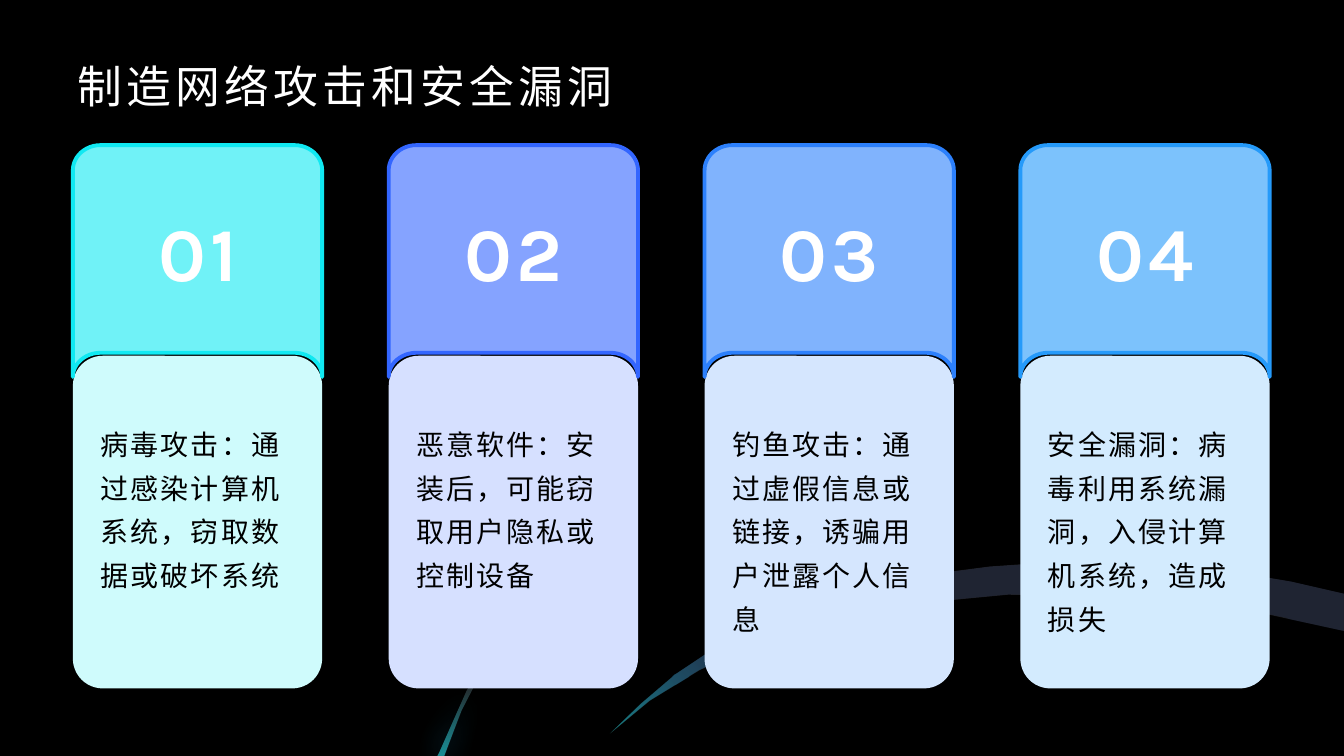
from math import cos, radians, sin

from lxml import etree
from pptx import Presentation
from pptx.dml.color import RGBColor
from pptx.enum.shapes import MSO_SHAPE
from pptx.enum.text import MSO_ANCHOR, MSO_AUTO_SIZE, PP_ALIGN
from pptx.oxml.ns import qn
from pptx.util import Inches, Pt

ROUNDED = MSO_SHAPE.ROUNDED_RECTANGLE
TOP, MIDDLE, BOTTOM = MSO_ANCHOR.TOP, MSO_ANCHOR.MIDDLE, MSO_ANCHOR.BOTTOM
LEFT, CENTER = PP_ALIGN.LEFT, PP_ALIGN.CENTER
NO_AUTOFIT = MSO_AUTO_SIZE.NONE

# The slide is a grid of 80 columns by 45 rows of square cells.
CELL = Inches(1 / 6)
COLUMNS, ROWS = 80, 45
CARD_LEFT, CARD_STEP, CARD_WIDTH = 4.34, 18.8, 14.84
HEADER_TOP, HEADER_HEIGHT, HEADER_ARCH = 8.64, 13.8, 12.36
BODY_TOP, BODY_HEIGHT = 21.18, 19.8
CORNER_WIDTH, CORNER_HEIGHT = 1.65, 1.5

COLORS = {
    "background": "000000", "light": "FFFFFF", "dark": "000000",
    "arc": "1E1D1B", "streak": "252D30",
    "cyan": "10E9F2", "blue": "3366FF", "glow": "1EB5F7",
}

CARDS = [
    ("70F2F7", "10E9F2", "CFFBFC", "病毒攻击：通过感染计算机系统，窃取数据或破坏系统"),
    ("85A3FF", "3366FF", "D6E0FF", "恶意软件：安装后，可能窃取用户隐私或控制设备"),
    ("80B3FD", "2C80FC", "D5E6FE", "钓鱼攻击：通过虚假信息或链接，诱骗用户泄露个人信息"),
    ("7CC2FC", "259AFA", "D3EBFE", "安全漏洞：病毒利用系统漏洞，入侵计算机系统，造成损失"),
]

ARC = [
    (36.3, 43.68), (38.16, 41.88), (40.2, 40.14), (42.54, 38.58), (45.24, 37.2),
    (48.36, 35.94), (51.66, 34.98), (55.2, 34.2), (58.92, 33.72), (62.34, 33.48),
    (64.62, 33.42), (68.04, 33.54), (71.34, 33.78), (74.4, 34.2), (76.86, 34.62),
    (80, 35.34), (80, 37.56), (75.6, 36.6), (72.48, 36.06), (66.12, 35.46),
    (60, 35.4), (54.36, 35.94), (49.14, 37.02), (45.12, 38.28), (41.64, 39.9),
    (38.7, 41.7),
]
STREAK = [
    (31.56, 36.18), (30.18, 37.74), (28.74, 39.84), (27.48, 42.3), (26.46, 45),
    (26.04, 45), (26.16, 44.76), (27.78, 41.1), (29.58, 38.4),
]

TITLE_STYLE = {"size": Pt(32), "name": "Roboto", "bold": False}
NUMBER_STYLE = {"size": Pt(54), "name": "Karla", "bold": True}
BODY_STYLE = {"size": Pt(20), "name": "Karla", "bold": False}


def cells(*lengths):
    return [round(length * CELL) for length in lengths]


def header_outline(left):
    """Round the two top corners and arch the lower edge upwards."""
    near, far = left + CORNER_WIDTH, left + CARD_WIDTH - CORNER_WIDTH
    upper, lower = HEADER_TOP + CORNER_HEIGHT, HEADER_TOP + HEADER_HEIGHT
    rise = lower - HEADER_TOP - HEADER_ARCH
    corners = [
        (near, upper, CORNER_HEIGHT, 180, 270), (far, upper, CORNER_HEIGHT, 270, 360),
        (far, lower, rise, 360, 270), (near, lower, rise, 270, 180),
    ]
    steps = 12
    points = []
    for x, y, height, start, end in corners:
        for step in range(steps + 1):
            angle = radians(start + (end - start) * step / steps)
            points.append((x + CORNER_WIDTH * cos(angle), y + height * sin(angle)))
    return points


class SlideBuilder:
    def __init__(self, presentation):
        self.slide = presentation.slides.add_slide(presentation.slide_layouts[5])
        self.paint(self.slide.background.fill, COLORS["background"])

    def paint(self, fill, color):
        fill.solid()
        fill.fore_color.rgb = RGBColor.from_string(color)

    def finish(self, shape, color, line=None):
        shape.shadow.inherit = False
        self.paint(shape.fill, color)
        if line:
            self.paint(shape.line.fill, line)
            shape.line.width = Pt(2.75)
        else:
            shape.line.fill.background()
        return shape

    def outline(self, points, color, line=None):
        corners = [cells(*point) for point in points]
        builder = self.slide.shapes.build_freeform(*corners[0], scale=1.0)
        builder.add_line_segments(corners[1:], close=True)
        return self.finish(builder.convert_to_shape(), color, line)

    def rounded(self, left, top, width, height, color):
        shape = self.slide.shapes.add_shape(ROUNDED, *cells(left, top, width, height))
        shape.adjustments[0] = 0.12
        return self.finish(shape, color)

    def add_color(self, parent, color, opacity):
        element = etree.SubElement(parent, qn("a:srgbClr"), val=color)
        etree.SubElement(element, qn("a:alpha"), val=str(opacity * 1000))

    def fade(self, shape, stops, angle):
        """Replace the fill by a gradient of (position, color, opacity) stops."""
        gradient = etree.Element(qn("a:gradFill"), rotWithShape="1")
        stop_list = etree.SubElement(gradient, qn("a:gsLst"))
        for position, color, opacity in stops:
            stop = etree.SubElement(stop_list, qn("a:gs"), pos=str(position * 1000))
            self.add_color(stop, color, opacity)
        etree.SubElement(gradient, qn("a:lin"), ang=str(angle * 60000), scaled="0")
        properties = shape.element.spPr
        properties.replace(properties.find(qn("a:solidFill")), gradient)

    def glow(self, shape, color):
        effects = shape.element.spPr.find(qn("a:effectLst"))
        shadow = etree.SubElement(effects, qn("a:outerShdw"), blurRad=str(Pt(20)),
                                  dist="0", dir="0", algn="ctr", rotWithShape="0")
        self.add_color(shadow, color, 100)

    def fill_text(self, shape, text, style, color, spacing, margins, anchor, align=LEFT):
        frame = shape.text_frame
        settings = dict(zip(("margin_left", "margin_top", "margin_right", "margin_bottom"),
                            map(Inches, margins)))
        settings.update(word_wrap=True, auto_size=NO_AUTOFIT, vertical_anchor=anchor)
        for name, value in settings.items():
            setattr(frame, name, value)
        paragraph = frame.paragraphs[0]
        paragraph.alignment = align
        run = paragraph.add_run()
        run.text = text
        for name, value in style.items():
            setattr(run.font, name, value)
        run.font.color.rgb = RGBColor.from_string(color)
        run._r.get_or_add_rPr().set("spc", str(round(spacing * 100)))
        return paragraph

    def title(self, text):
        shape = self.slide.shapes.title
        shape.left, shape.top, shape.width, shape.height = cells(4.02, 3, 72, 3.72)
        self.fill_text(shape, text, TITLE_STYLE, COLORS["light"], 3, (0.1, 0, 0.1, 0), BOTTOM)

    def text(self, left, top, width, height, *content):
        shape = self.slide.shapes.add_textbox(*cells(left, top, width, height))
        return self.fill_text(shape, *content)

    def card(self, index, header, border, body, text):
        left = CARD_LEFT + index * CARD_STEP
        self.rounded(left, BODY_TOP, CARD_WIDTH, BODY_HEIGHT, body)
        self.outline(header_outline(left), header, border)
        self.text(left + 2.6, 11.04, 9.66, 7.56, f"{index + 1:02}", NUMBER_STYLE,
                  COLORS["light"], 3, (0.1, 0.05, 0.1, 0), MIDDLE, CENTER)
        paragraph = self.text(left + 1.05, 24.54, 12.78, 14.28, text, BODY_STYLE,
                              COLORS["dark"], 1.5, (0.1, 0.05, 0, 0.05), TOP)
        paragraph.line_spacing = 1.3
        paragraph.space_after = Pt(10)


def main():
    presentation = Presentation()
    presentation.slide_width, presentation.slide_height = cells(COLUMNS, ROWS)
    builder = SlideBuilder(presentation)
    cyan = COLORS["cyan"]
    for points, base in ((ARC, "arc"), (STREAK, "streak")):
        builder.outline(points, COLORS[base])
    arc = builder.outline(ARC, cyan)
    builder.fade(arc, [(0, cyan, 50), (31, COLORS["blue"], 10)], 315)
    streak = builder.outline(STREAK, cyan)
    builder.fade(streak, [(55, cyan, 0), (100, cyan, 50)], 90)
    builder.glow(streak, COLORS["glow"])
    builder.title("制造网络攻击和安全漏洞")
    for index, card in enumerate(CARDS):
        builder.card(index, *card)
    presentation.save("out.pptx")


if __name__ == "__main__":
    main()
